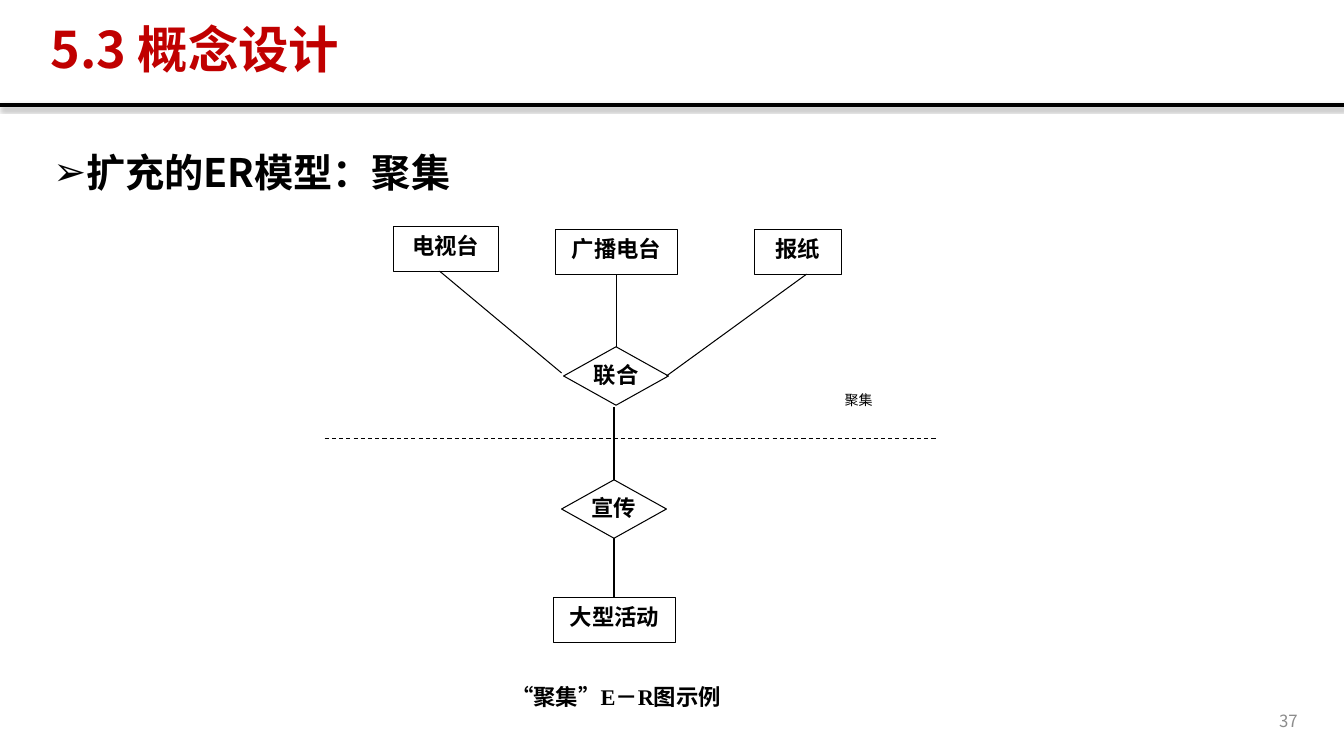
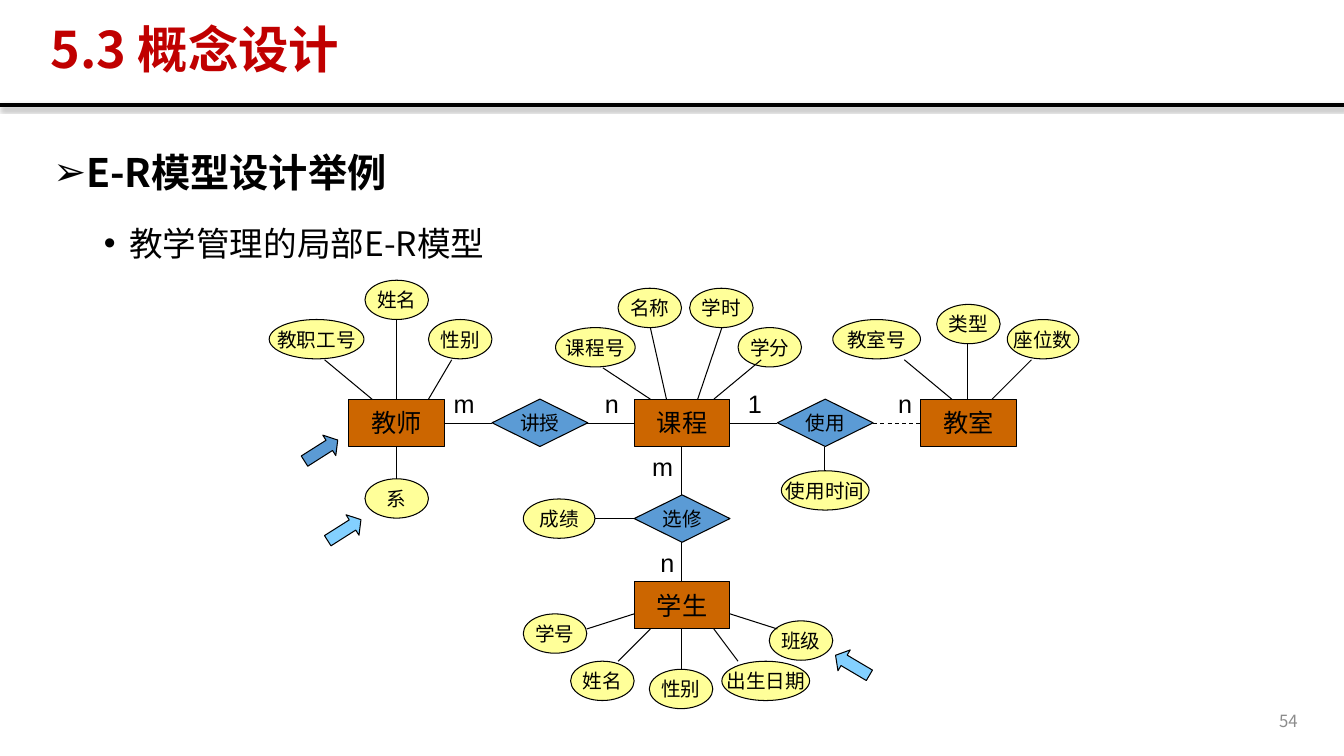
"""Build two slides on conceptual database design with E-R diagrams."""
from lxml import etree
from pptx import Presentation
from pptx.dml.color import RGBColor
from pptx.enum.dml import MSO_LINE
from pptx.enum.shapes import MSO_CONNECTOR, MSO_SHAPE
from pptx.enum.text import MSO_ANCHOR, MSO_AUTO_SIZE, PP_ALIGN
from pptx.oxml.ns import qn
from pptx.util import Inches, Pt

STRAIGHT = MSO_CONNECTOR.STRAIGHT
DASH = MSO_LINE.DASH
RECT = MSO_SHAPE.RECTANGLE
DIAMOND = MSO_SHAPE.DIAMOND
OVAL = MSO_SHAPE.OVAL
ARROW = MSO_SHAPE.RIGHT_ARROW
TOP, MIDDLE = MSO_ANCHOR.TOP, MSO_ANCHOR.MIDDLE
GROW = MSO_AUTO_SIZE.SHAPE_TO_FIT_TEXT
LEFT, CENTER, RIGHT = PP_ALIGN.LEFT, PP_ALIGN.CENTER, PP_ALIGN.RIGHT
JUSTIFY = PP_ALIGN.JUSTIFY

BLACK = RGBColor(0x00, 0x00, 0x00)
WHITE = RGBColor(0xFF, 0xFF, 0xFF)
RED = RGBColor(0xC0, 0x00, 0x00)
GRAY = RGBColor(0x8C, 0x8C, 0x8C)
ORANGE = RGBColor(0xCC, 0x66, 0x00)
BLUE = RGBColor(0x5B, 0x9B, 0xD5)
SKY = RGBColor(0x83, 0xD0, 0xFF)
YELLOW = RGBColor(0xFF, 0xFF, 0x99)

SANS, SERIF, LATIN = "Noto Sans CJK SC", "Times New Roman", "Arial"


def add_node(slide, kind, text, box, fill=None, size=14, font=LATIN, bold=False,
             color=BLACK, align=CENTER, anchor=MIDDLE, wrap=False, outline=True):
    """Add a text box (kind None) or a preset shape with one styled line of text."""
    frame_box = [Inches(value) for value in box]
    if kind is None:
        node = slide.shapes.add_textbox(*frame_box)
    else:
        node = slide.shapes.add_shape(kind, *frame_box)
        node.shadow.inherit = False
        node.fill.solid()
        node.fill.fore_color.rgb = fill
        if outline:
            node.line.color.rgb = BLACK
            node.line.width = Pt(0.75)
        else:
            node.line.fill.background()
    frame = node.text_frame
    frame.text = text
    frame.word_wrap = wrap
    frame.vertical_anchor = anchor
    paragraph = frame.paragraphs[0]
    paragraph.alignment = align
    for run in paragraph.runs:
        run.font.size = Pt(size)
        run.font.name = font
        run.font.bold = bold
        run.font.color.rgb = color
    return node


def add_line(slide, x1, y1, x2, y2, width=0.75, dash=None):
    """Add a black line and return it with its empty effect list."""
    line = slide.shapes.add_connector(
        STRAIGHT, Inches(x1), Inches(y1), Inches(x2), Inches(y2))
    line.line.color.rgb = BLACK
    line.line.width = Pt(width)
    if dash is not None:
        line.line.dash_style = dash
    effects = etree.SubElement(line._element.spPr, qn("a:effectLst"))
    return line, effects


prs = Presentation()
prs.slide_width, prs.slide_height = Inches(13.33), Inches(7.5)
layout = prs.slide_layouts[1]
for index, box in enumerate([(0.4, 0.19, 11.7, 0.65), (0.43, 1.33, 12.53, 5.42)]):
    holder = layout.placeholders[index]
    holder.left, holder.top, holder.width, holder.height = map(Inches, box)

pages = [
    ("37", ["扩充的ER模型：聚集"]),
    ("54", ["E-R模型设计举例", "教学管理的局部E-R模型"]),
]
outline_styles = [
    (28, True, 0.25, 1.2, 0, "➢"),
    (24, False, 0.75, 1.5, 5, "•"),
]
for number, topics in pages:
    slide = prs.slides.add_slide(layout)
    title = slide.shapes.title.text_frame
    title.text = "5.3 概念设计"
    title.vertical_anchor = MIDDLE
    title.auto_size = GROW
    heading = title.paragraphs[0]
    heading.alignment = JUSTIFY
    heading.line_spacing = 0.9
    heading.runs[0].font.size = Pt(36)
    heading.runs[0].font.name = SANS
    heading.runs[0].font.bold = True
    heading.runs[0].font.color.rgb = RED

    body = slide.placeholders[1].text_frame
    body.text = "\n".join(topics)
    for level, topic in enumerate(body.paragraphs):
        size, bold, margin, spacing, before, bullet = outline_styles[level]
        topic.level = level
        properties = topic._p.get_or_add_pPr()
        properties.set("marL", str(Inches(margin)))
        properties.set("indent", str(Inches(-0.25)))
        etree.SubElement(properties, qn("a:buFont"), typeface=LATIN)
        etree.SubElement(properties, qn("a:buChar"), char=bullet)
        topic.alignment = JUSTIFY
        topic.line_spacing = spacing
        topic.space_before = Pt(before)
        topic.runs[0].font.size = Pt(size)
        topic.runs[0].font.name = SANS
        topic.runs[0].font.bold = bold
        topic.runs[0].font.color.rgb = BLACK

    add_node(slide, None, number, (9.97, 6.95, 3, 0.4), size=12, font=SANS,
             color=GRAY, align=RIGHT, wrap=True)

aggregation, teaching = prs.slides

rule, rule_effects = add_line(aggregation, 0, 1.04, 13.33, 1.04, width=3)
shadow = etree.SubElement(
    rule_effects, qn("a:outerShdw"), blurRad=str(Pt(3.1)), dist=str(Pt(1.8)),
    dir="5400000", algn="t", rotWithShape="0")
shadow_color = etree.SubElement(shadow, qn("a:srgbClr"), val=str(BLACK))
etree.SubElement(shadow_color, qn("a:alpha"), val="35000")
layout.shapes._spTree.append(rule._element)

media_entities = [
    ("电视台", 3.9, 2.25, 1.04),
    ("广播电台", 5.51, 2.28, 1.21),
    ("报纸", 7.48, 2.28, 0.87),
    ("大型活动", 5.49, 5.93, 1.21),
]
for text, left, top, width in media_entities:
    add_node(aggregation, RECT, text, (left, top, width, 0.44), WHITE, 16, SERIF,
             True, anchor=TOP, wrap=True)

unframed = [
    (DIAMOND, "联合", (5.59, 3.44, 1.04, 0.58), 16, True),
    (DIAMOND, "宣传", (5.57, 4.76, 1.04, 0.58), 16, True),
    (RECT, "“聚集”E－R图示例", (4.07, 6.78, 4.08, 0.36), 16, True),
    (RECT, "聚集", (8.17, 3.88, 0.69, 0.29), 10, False),
]
for kind, text, box, size, bold in unframed:
    node = add_node(aggregation, kind, text, box, WHITE, size, SERIF, bold,
                    anchor=TOP, wrap=True, outline=kind == DIAMOND)
    frame = node.text_frame
    frame.margin_left = frame.margin_right = 0
    frame.margin_top = frame.margin_bottom = 0

for ends in [
    (6.11, 2.72, 6.11, 3.44),
    (6.09, 4.04, 6.09, 4.76),
    (6.09, 5.34, 6.09, 5.92),
    (4.36, 2.69, 5.57, 3.7),
    (8, 2.72, 6.61, 3.73),
]:
    add_line(aggregation, *ends)
add_line(aggregation, 3.22, 4.35, 9.28, 4.35, dash=DASH)

entities = [("教师", 3.46, 3.96), ("课程", 6.29, 3.96), ("教室", 9.13, 3.96),
            ("学生", 6.29, 5.77)]
relationships = [("讲授", 4.88, 3.96), ("使用", 7.71, 3.96), ("选修", 6.29, 4.91)]
for kind, fill, size, members in [(RECT, ORANGE, 18, entities),
                                  (DIAMOND, BLUE, 14, relationships)]:
    for text, left, top in members:
        add_node(teaching, kind, text, (left, top, 0.95, 0.47), fill, size)

for x1, x2, dash in [(4.4, 4.88, None), (5.82, 6.29, None),
                     (7.24, 7.71, None), (8.66, 9.13, DASH)]:
    add_line(teaching, x1, 4.2, x2, 4.2, dash=dash)
for y1, y2 in [(4.43, 4.91), (5.38, 5.77)]:
    add_line(teaching, 6.76, y1, 6.76, y2)

cardinalities = [("m", 4.4, 3.8), ("n", 5.9, 3.8), ("1", 7.32, 3.8),
                 ("n", 8.81, 3.8), ("m", 6.37, 4.43), ("n", 6.45, 5.38)]
for text, left, top in cardinalities:
    width = 0.39 if top == 4.43 else 0.31
    add_node(teaching, None, text, (left, top, width, 0.4), size=18, align=LEFT,
             anchor=TOP, wrap=True)

attributes = [
    ("教职工号", 2.67, 3.17, 0.94, (3.22, 3.57, 3.69, 3.96)),
    ("姓名", 3.62, 2.78, 0.63, (3.93, 3.17, 3.93, 3.96)),
    ("性别", 4.25, 3.17, 0.63, (4.48, 3.57, 4.25, 3.96)),
    ("系", 3.62, 4.75, 0.63, (3.93, 4.43, 3.93, 4.75)),
    ("课程号", 5.51, 3.25, 0.79, (5.98, 3.65, 6.45, 3.96)),
    ("名称", 6.13, 2.86, 0.63, (6.45, 3.25, 6.61, 3.96)),
    ("学时", 6.84, 2.86, 0.63, (7.16, 3.25, 6.92, 3.96)),
    ("学分", 7.32, 3.25, 0.63, (7.55, 3.57, 7.08, 3.96)),
    ("教室号", 8.26, 3.17, 0.87, (8.97, 3.57, 9.44, 3.96)),
    ("类型", 9.29, 3.02, 0.63, (9.6, 3.41, 9.6, 3.96)),
    ("座位数", 9.99, 3.17, 0.71, (10.23, 3.57, 9.84, 3.96)),
    ("使用时间", 7.75, 4.67, 0.87, (8.18, 4.43, 8.18, 4.67)),
    ("成绩", 5.19, 4.95, 0.71, (6.29, 5.14, 5.9, 5.14)),
    ("学号", 5.19, 6.09, 0.63, (6.29, 6.09, 5.82, 6.24)),
    ("姓名", 5.66, 6.56, 0.63, (6.45, 6.24, 6.13, 6.56)),
    ("性别", 6.44, 6.64, 0.63, (6.76, 6.24, 6.76, 6.64)),
    ("出生日期", 7.16, 6.56, 0.87, (7.32, 6.56, 7.08, 6.24)),
    ("班级", 7.63, 6.16, 0.63, (7.71, 6.24, 7.24, 6.09)),
]
for text, left, top, width, link in attributes:
    add_node(teaching, OVAL, text, (left, top, width, 0.39), YELLOW)
    add_line(teaching, *link)

for left, top, angle, fill in [(3.22, 5.14, 327.6, SKY), (2.99, 4.35, 327.6, BLUE),
                               (8.26, 6.48, 210.6, SKY)]:
    pointer = add_node(teaching, ARROW, "", (left, top, 0.39, 0.24), fill)
    pointer.rotation = angle
    pointer.adjustments[0] = 0.5
    pointer.adjustments[1] = 0.41

for slide in prs.slides:
    for shape in slide.shapes:
        if shape.has_text_frame:
            for paragraph in shape.text_frame.paragraphs:
                for run in paragraph.runs:
                    etree.SubElement(run._r.get_or_add_rPr(), qn("a:ea"), typeface=SANS)

prs.save("out.pptx")
